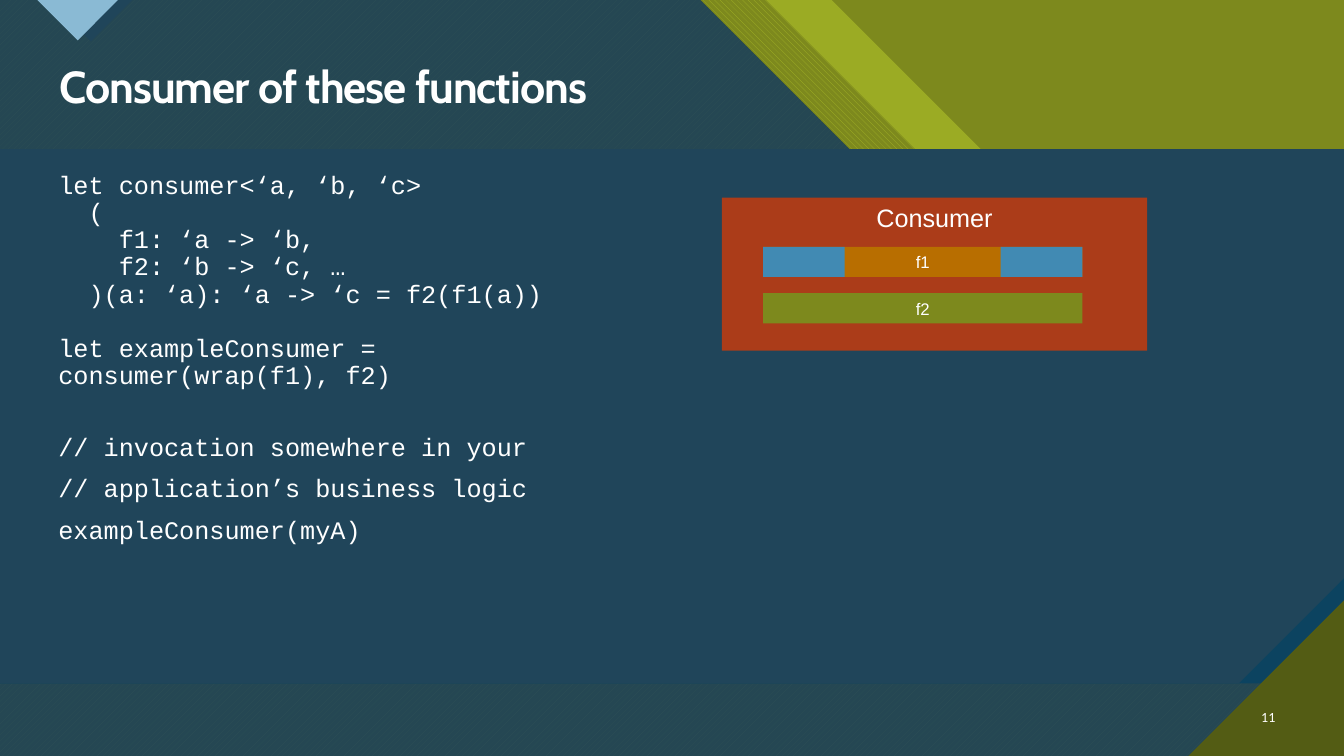
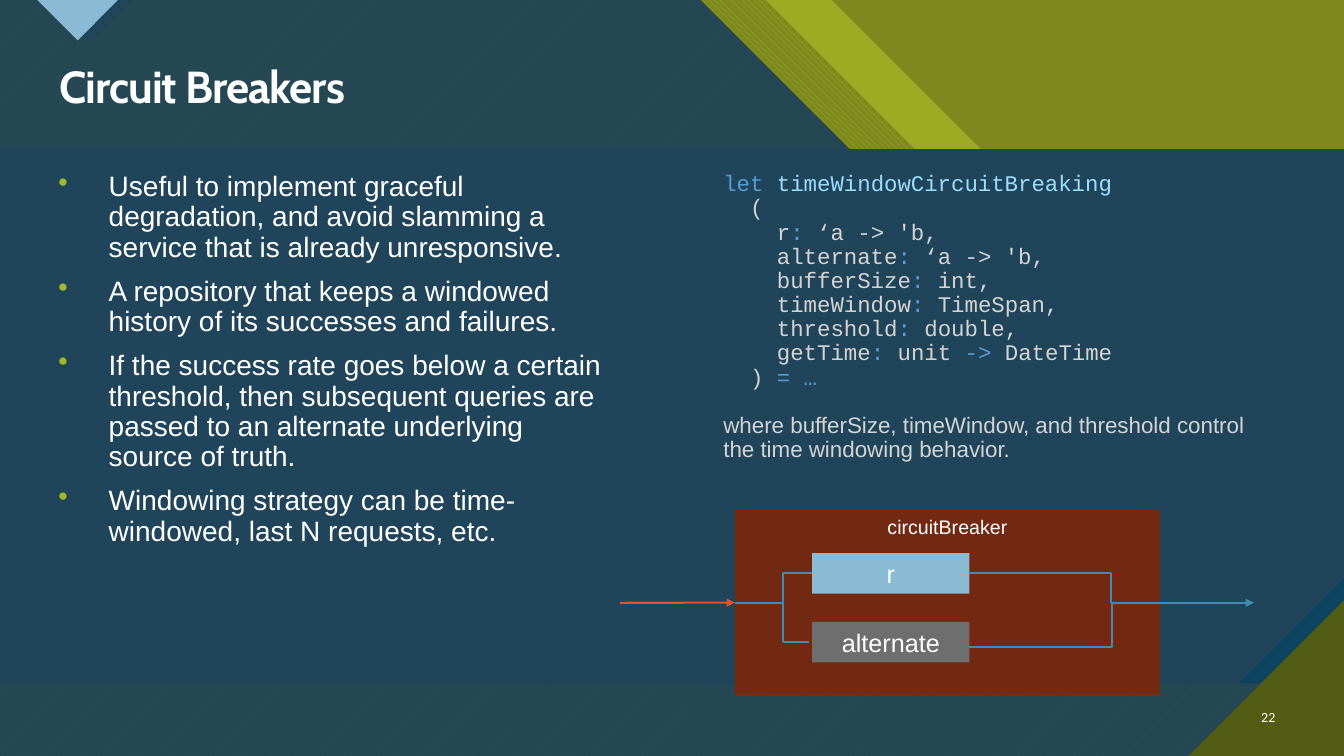
from lxml.etree import SubElement
from pptx import Presentation
from pptx.dml.color import RGBColor
from pptx.enum.dml import MSO_PATTERN
from pptx.enum.shapes import MSO_CONNECTOR, MSO_SHAPE
from pptx.enum.text import MSO_ANCHOR, MSO_AUTO_SIZE, PP_ALIGN
from pptx.oxml.ns import qn
from pptx.util import Cm, Pt

WIDE, HIGH = 33.87, 19.05
SHELF = 7.54
HUES = {
    "olive": "7D891D", "lime": "A6B727", "moss": "535C14",
    "navy": "20455A", "deep": "0C4360", "sky": "8ABAD4",
    "blue": "418AB3", "rust": "AB3C19", "brick": "722811",
    "amber": "B86E00", "gray": "6E6E6E", "coral": "DF5327",
    "white": "FFFFFF", "key": "569CD6", "name": "9CDCFE", "code": "D4D4D4",
}
BODY = (1.22, 4.22, 14.4, 12.95)
SIDE = (17.98, 4.22, 14.4, 12.95)


def hue(name):
    return RGBColor.from_string(HUES[name])


def style(para, size, face, color="white", bold=False, align=PP_ALIGN.LEFT):
    para.alignment = align
    para.font.size = Pt(size)
    para.font.name = face
    para.font.bold = bold
    para.font.color.rgb = hue(color)


def paint(shape, color, back=None, weave=None, alpha=None):
    shape.shadow.inherit = False
    shape.line.fill.background()
    fill = shape.fill
    if weave:
        fill.patterned()
        fill.pattern = weave
        fill.back_color.rgb = hue(back)
    else:
        fill.solid()
    fill.fore_color.rgb = hue(color)
    if alpha:
        tint = next(shape.element.iter(qn("a:srgbClr")))
        SubElement(tint, qn("a:alpha"), val=str(alpha * 1000))


def outline(page, points, color, **look):
    spots = [(Cm(x), Cm(y)) for x, y in points]
    pen = page.shapes.build_freeform(*spots[0])
    pen.add_line_segments(spots[1:], close=True)
    paint(pen.convert_to_shape(), color, **look)


def pane(page, top, turn, color, **look):
    outline(page, [(0, 0), (top, 0), (top + SHELF, SHELF), (turn, SHELF),
                   (WIDE, SHELF + WIDE - turn), (WIDE, HIGH), (0, HIGH)],
            color, **look)


def dress(page, layout):
    pane(page, 20.96, 31.34, "lime", alpha=74)
    pane(page, 19.3, 30.07, "lime", back="olive",
         weave=MSO_PATTERN.WIDE_DOWNWARD_DIAGONAL)
    pane(page, 17.65, 28.4, "lime", back="moss",
         weave=MSO_PATTERN.WIDE_UPWARD_DIAGONAL)
    pane(page, 17.65, 28.4, "navy", alpha=90)
    outline(page, [(1.22, 0), (3.33, 0), (2.29, 1.04)], "navy")
    outline(page, [(0.94, 0), (2.97, 0), (1.96, 1.02)], "sky")
    top, base, snip = 3.76, 17.22, 2.65
    for cut, color in ((0, "deep"), (snip, "navy")):
        outline(page, [(0, top), (WIDE, top), (WIDE, base - cut),
                       (WIDE - cut, base), (0, base)], color)
    outline(page, [(29.95, HIGH), (WIDE, HIGH), (WIDE, 15.13)], "moss")

    for holder in list(layout.placeholders):
        if holder.placeholder_format.idx >= 10:
            layout.shapes.element.remove(holder.element)
    for shape in list(page.shapes):
        if not shape.is_placeholder:
            layout.shapes.element.append(shape.element)
    layout.background.fill.solid()
    layout.background.fill.fore_color.rgb = hue("olive")


def place(shape, spot):
    shape.left, shape.top, shape.width, shape.height = map(Cm, spot)


def head(page, text, number):
    title = page.shapes.title
    place(title, (1.24, 1.5, 31.14, 1.5))
    frame = title.text_frame
    frame.text = text
    frame.auto_size = MSO_AUTO_SIZE.NONE
    frame.vertical_anchor = MSO_ANCHOR.MIDDLE
    para = frame.paragraphs[0]
    para.line_spacing = 0.9
    style(para, 32, "Cabin", bold=True)
    for font in title.element.iter(qn("a:defRPr")):
        font.set("spc", "-70")
    frame = text_box(page, (31.27, 17.55, 1.12, 1.02)).text_frame
    frame.vertical_anchor = MSO_ANCHOR.MIDDLE
    frame.text = number
    style(frame.paragraphs[0], 10, "Calibri", align=PP_ALIGN.RIGHT)


def text_box(page, spot):
    box = page.shapes.add_textbox(*map(Cm, spot))
    box.text_frame.word_wrap = True
    return box


def prose(page, spot, items, size, face):
    box = text_box(page, spot)
    frame = box.text_frame
    for rank, (text, gap) in enumerate(items):
        para = frame.add_paragraph() if rank else frame.paragraphs[0]
        para.text = text
        para.line_spacing = 0.9
        para.space_before = Pt(gap)
        style(para, size, face)
    return box


def dots(box):
    for props in box.element.iter(qn("a:pPr")):
        props.set("marL", str(Cm(1.27)))
        props.set("indent", str(-Cm(1.27)))
        tint = SubElement(props, qn("a:buClr"))
        SubElement(tint, qn("a:srgbClr"), val=HUES["lime"])
        mark = SubElement(props, qn("a:buChar"), char="•")
        font = props.find(qn("a:defRPr"))
        font.addprevious(tint)
        font.addprevious(mark)


def listing(para, lines):
    for rank, line in enumerate(lines):
        if rank:
            para.add_line_break()
        for text, color in line:
            run = para.add_run()
            run.text = text
            run.font.color.rgb = hue(color)


def block(page, spot, color, text="", size=18, anchor=MSO_ANCHOR.MIDDLE):
    shape = page.shapes.add_shape(MSO_SHAPE.RECTANGLE, *map(Cm, spot))
    paint(shape, color)
    if text:
        shape.text_frame.text = text
        shape.text_frame.vertical_anchor = anchor
        style(shape.text_frame.paragraphs[0], size, "Arial",
              align=PP_ALIGN.CENTER)
    return shape


def wire(page, start, end, color, kind=MSO_CONNECTOR.ELBOW, bend=None,
         arrow=False):
    link = page.shapes.add_connector(kind, *map(Cm, start + end))
    link.line.color.rgb = hue(color)
    link.line.width = Pt(1.5)
    if arrow:
        SubElement(next(link.element.iter(qn("a:ln"))), qn("a:tailEnd"),
                   type="triangle")
    if bend:
        SubElement(next(link.element.iter(qn("a:avLst"))), qn("a:gd"),
                   name="adj1", fmla=f"val {round(bend * 100000)}")
    SubElement(link.element.find(qn("p:spPr")), qn("a:effectLst"))
    return link


def consumer(page):
    head(page, "Consumer of these functions", "11")
    prose(page, BODY, [
        ("let consumer<‘a, ‘b, ‘c>\n  (\n    f1: ‘a -> ‘b,\n"
         "    f2: ‘b -> ‘c, …\n  )(a: ‘a): ‘a -> ‘c = f2(f1(a))", 0),
        ("let exampleConsumer =\nconsumer(wrap(f1), f2)", 19.4),
        ("// invocation somewhere in your", 32),
        ("// application’s business logic", 10),
        ("exampleConsumer(myA)", 10),
    ], 18, "Courier New")
    block(page, (18.19, 4.98, 10.72, 3.86), "rust", "Consumer",
          anchor=MSO_ANCHOR.TOP)
    left, top, width, tall, cap = 19.23, 6.22, 8.05, 0.76, 2.06
    block(page, (left, top, width, tall), "amber", "f1", 12)
    for x in (left, left + width - cap):
        block(page, (x, top, cap, tall), "blue")
    block(page, (left, 7.39, width, tall), "olive", "f2", 12)


def signature(page):
    fields = [("r", ": ", "‘a -> 'b,"), ("alternate", ": ", "‘a -> 'b,"),
              ("bufferSize", ": ", "int,"), ("timeWindow", ": ", "TimeSpan,"),
              ("threshold", ": ", "double,")]
    lines = [[("let ", "key"), ("timeWindowCircuitBreaking", "name")],
             [("  (", "code")]]
    lines += [[("    " + name, "code"), (mark, "key"), (kind, "code")]
              for name, mark, kind in fields]
    lines += [[("    getTime", "code"), (": ", "key"), ("unit ", "code"),
               ("-> ", "key"), ("DateTime", "code")],
              [("  ) ", "code"), ("= …", "key")]]
    frame = text_box(page, SIDE).text_frame
    para = frame.paragraphs[0]
    listing(para, lines)
    para.line_spacing = 0.9
    style(para, 16, "Courier New", "code")
    note = frame.add_paragraph()
    note.text = ("where bufferSize, timeWindow, and threshold control "
                 "the time windowing behavior.")
    note.line_spacing = 0.9
    note.space_before = Pt(17)
    style(note, 16, "Arial", "code")


def circuit(page):
    panel = block(page, (18.52, 12.85, 10.72, 4.67), "brick",
                  "circuitBreaker", 14, MSO_ANCHOR.TOP)
    left, width, tall = 20.47, 3.96, 1.02
    block(page, (left, 13.94, width, tall), "sky", "r")
    block(page, (left, 15.67, width, tall), "gray", "alternate")
    gate, mid, upper, right = 18.52, 15.19, 14.45, left + width
    feed = wire(page, (15.62, mid), (gate, mid), "coral",
                MSO_CONNECTOR.STRAIGHT, arrow=True)
    feed.end_connect(panel, 1)
    wire(page, (right, 16.31), (31.6, mid), "blue", arrow=True)
    wire(page, (right, upper), (28, mid), "blue", bend=1)
    wire(page, (gate, mid), (left, upper), "blue", bend=0.62)
    wire(page, (gate, mid), (20.4, 16.18), "blue", bend=0.64)


def breaker(page):
    head(page, "Circuit Breakers", "22")
    items = [
        "Useful to implement graceful degradation, and avoid slamming "
        "a service that is already unresponsive.",
        "A repository that keeps a windowed history of its successes "
        "and failures.",
        "If the success rate goes below a certain threshold, then "
        "subsequent queries are passed to an alternate underlying "
        "source of truth.",
        "Windowing strategy can be time-windowed, last N requests, etc.",
    ]
    dots(prose(page, BODY, [(item, 10) for item in items], 20, "Arial"))
    signature(page)
    circuit(page)


def main():
    deck = Presentation()
    deck.slide_width, deck.slide_height = Cm(WIDE), Cm(HIGH)
    layout = deck.slide_layouts[5]
    first, second = (deck.slides.add_slide(layout) for _ in range(2))
    dress(first, layout)
    consumer(first)
    breaker(second)
    deck.save("out.pptx")


if __name__ == "__main__":
    main()
